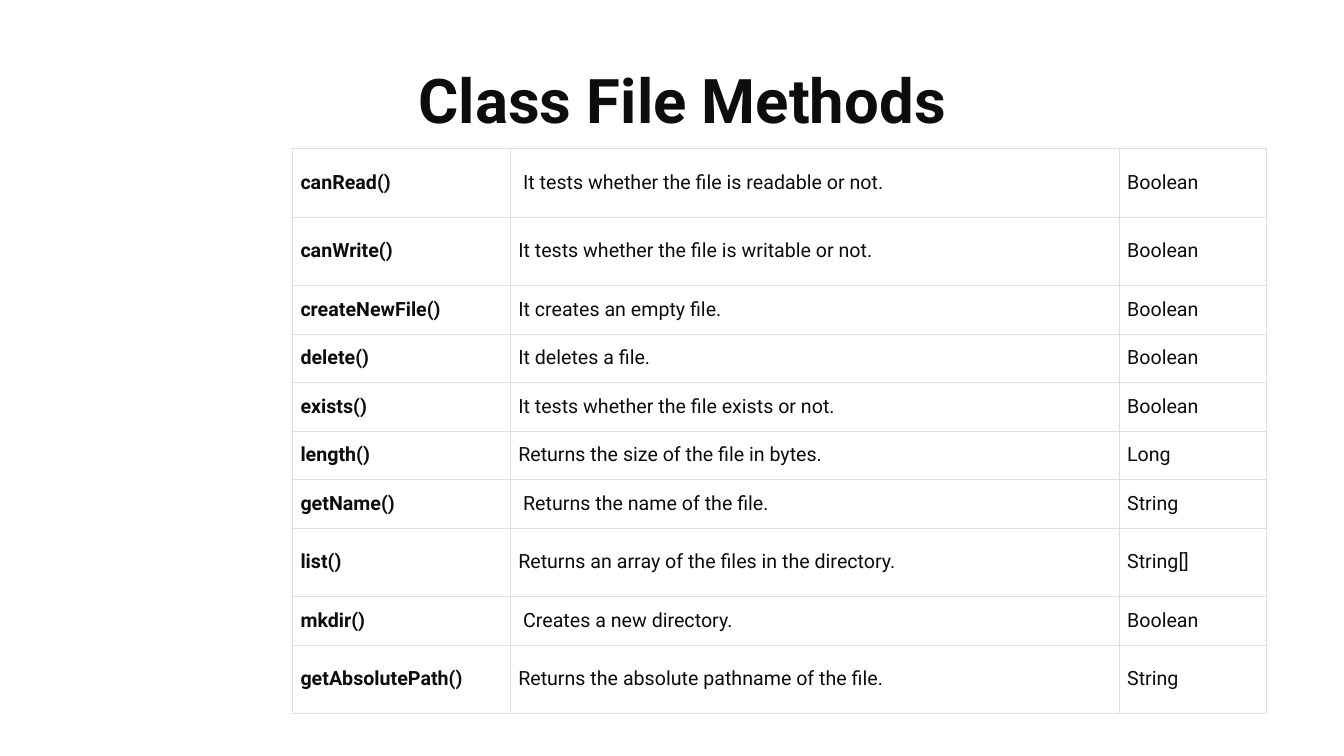
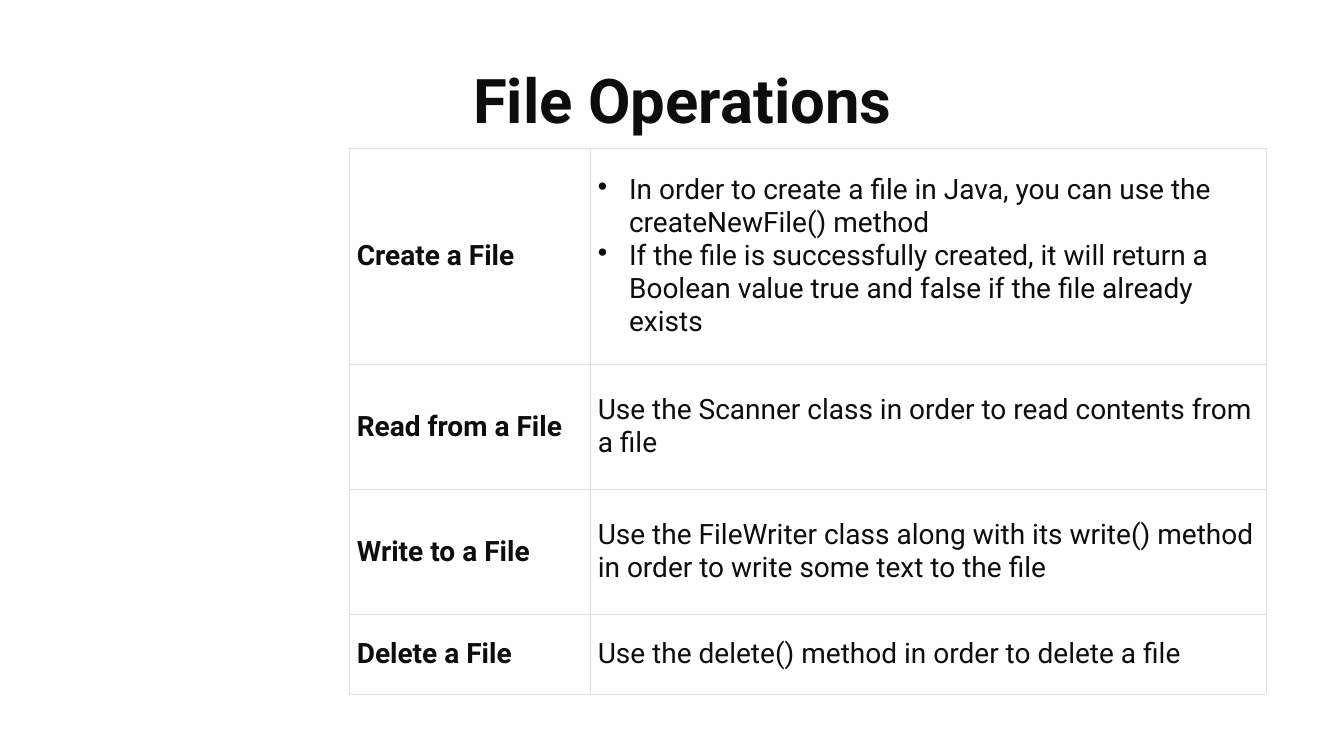
from dataclasses import dataclass

from lxml.etree import SubElement
from pptx import Presentation
from pptx.dml.color import RGBColor
from pptx.enum.text import MSO_ANCHOR as Anchor, PP_ALIGN as Align
from pptx.oxml.ns import qn
from pptx.util import Inches, Pt


@dataclass(frozen=True)
class Theme:
    """Colours, type sizes and line widths shared by the slides."""
    font: str = "Roboto"
    ink: RGBColor = RGBColor(0x0D, 0x0D, 0x0D)
    paper: RGBColor = RGBColor(0xFF, 0xFF, 0xFF)
    rule: str = "DFDFDF"
    rule_width: int = Pt(0.23)
    title_size: int = 44
    list_size: int = 14
    body_size: int = 20


@dataclass(frozen=True)
class Box:
    """A region in percent of the slide's width and height."""
    left: float
    top: float
    right: float
    bottom: float

    def place(self):
        """Return left, top, width and height as slide lengths."""
        return (across(self.left), down(self.top),
                across(self.right - self.left), down(self.bottom - self.top))


THEME = Theme()
WIDTH, HEIGHT = Inches(13.33), Inches(7.5)
TITLE_BOX = Box(12.83, 6.13, 88.75, 18.8)
METHODS_BOX = Box(21.76, 19.6, 94.22, 94.42)
OPERATIONS_BOX = Box(25.95, 19.6, 94.22, 91.78)

TALL, SHORT = 0.68, 0.48
METHOD_COLUMNS = (2.16, 6.04, 1.46)
METHODS = [
    (TALL, "canRead()", " It tests whether the file is readable or not.", "Boolean"),
    (TALL, "canWrite()", "It tests whether the file is writable or not.", "Boolean"),
    (SHORT, "createNewFile()", "It creates an empty file.", "Boolean"),
    (SHORT, "delete()", "It deletes a file.", "Boolean"),
    (SHORT, "exists()", "It tests whether the file exists or not.", "Boolean"),
    (SHORT, "length()", "Returns the size of the file in bytes.", "Long"),
    (SHORT, "getName()", " Returns the name of the file.", "String"),
    (TALL, "list()", "Returns an array of the files in the directory.", "String[]"),
    (SHORT, "mkdir()", " Creates a new directory.", "Boolean"),
    (TALL, "getAbsolutePath()", "Returns the absolute pathname of the file.", "String"),
]
OPERATION_COLUMNS = (2.39, 6.71)
OPERATIONS = [
    (2.14, "Create a File", [
        "In order to create a file in Java, you can use the createNewFile() method",
        "If the file is successfully created, it will return a Boolean value true "
        "and false if the file already exists",
    ]),
    (1.24, "Read from a File",
     "Use the Scanner class in order to read contents from a file"),
    (1.24, "Write to a File",
     "Use the FileWriter class along with its write() method in order to write "
     "some text to the file"),
    (0.79, "Delete a File", "Use the delete() method in order to delete a file"),
]


def across(percent):
    """Turn a percentage of the slide's width into a length."""
    return round(WIDTH * percent / 100)


def down(percent):
    """Turn a percentage of the slide's height into a length."""
    return round(HEIGHT * percent / 100)


def share_out(tracks, weights, total, side):
    """Divide a length among table rows or columns by weight."""
    for track, weight in zip(tracks, weights):
        setattr(track, side, round(total * weight / sum(weights)))


def style_para(para, size, bold=False):
    """Set the theme's font on a paragraph."""
    font = para.font
    font.name, font.size, font.bold = THEME.font, Pt(size), bold
    font.color.rgb = THEME.ink


def add_bullet(para):
    """Give a paragraph a hanging round bullet."""
    props = para._p.get_or_add_pPr()
    hang = across(2.33)
    props.set("marL", str(hang))
    props.set("indent", str(-hang))
    bullet = props.makeelement(qn("a:buChar"), {"char": "•"})
    props.insert(0, bullet)


def add_borders(cell):
    """Draw a thin rule on all four sides of a cell."""
    props = cell._tc.get_or_add_tcPr()
    for side in ("lnL", "lnR", "lnT", "lnB"):
        line = SubElement(props, qn(f"a:{side}"), w=str(THEME.rule_width))
        fill = SubElement(line, qn("a:solidFill"))
        SubElement(fill, qn("a:srgbClr"), val=THEME.rule)


def fill_cell(cell, content, size, bold):
    """Write one string, or a bulleted list of strings, into a cell."""
    add_borders(cell)
    cell.fill.solid()
    cell.fill.fore_color.rgb = THEME.paper
    cell.vertical_anchor = Anchor.MIDDLE
    cell.margin_left = cell.margin_right = across(0.6)
    cell.margin_top = cell.margin_bottom = down(1.6)
    bulleted = isinstance(content, list)
    lines = content if bulleted else [content]
    frame = cell.text_frame
    for index, line in enumerate(lines):
        para = frame.add_paragraph() if index else frame.paragraphs[0]
        para.text = line
        style_para(para, size, bold)
        if bulleted:
            add_bullet(para)


def add_title(page, box, text):
    """Place the centred slide title at the foot of its box."""
    frame = page.shapes.add_textbox(*box.place()).text_frame
    frame.word_wrap = True
    frame.vertical_anchor = Anchor.BOTTOM
    para = frame.paragraphs[0]
    para.text = text
    para.alignment = Align.CENTER
    para.line_spacing = 0.9
    style_para(para, THEME.title_size, bold=True)


def add_grid(page, box, columns, rows, size):
    """Place a ruled table whose first column is bold."""
    place = box.place()
    table = page.shapes.add_table(len(rows), len(columns), *place).table
    table.first_row = table.horz_banding = False
    share_out(table.columns, columns, place[2], "width")
    share_out(table.rows, [row[0] for row in rows], place[3], "height")
    for row_index, (_, *contents) in enumerate(rows):
        for column_index, content in enumerate(contents):
            fill_cell(table.cell(row_index, column_index), content, size,
                      bold=column_index == 0)


def add_table_slide(deck, title, box, columns, rows, size):
    """Add a slide with a title above a table."""
    page = deck.slides.add_slide(deck.slide_layouts[6])
    page.background.fill.solid()
    page.background.fill.fore_color.rgb = THEME.paper
    add_title(page, TITLE_BOX, title)
    add_grid(page, box, columns, rows, size)


def main():
    """Build and save the deck."""
    deck = Presentation()
    deck.slide_width, deck.slide_height = WIDTH, HEIGHT
    add_table_slide(deck, "Class File Methods", METHODS_BOX,
                    METHOD_COLUMNS, METHODS, THEME.list_size)
    add_table_slide(deck, "File Operations", OPERATIONS_BOX,
                    OPERATION_COLUMNS, OPERATIONS, THEME.body_size)
    deck.save("out.pptx")


if __name__ == "__main__":
    main()
